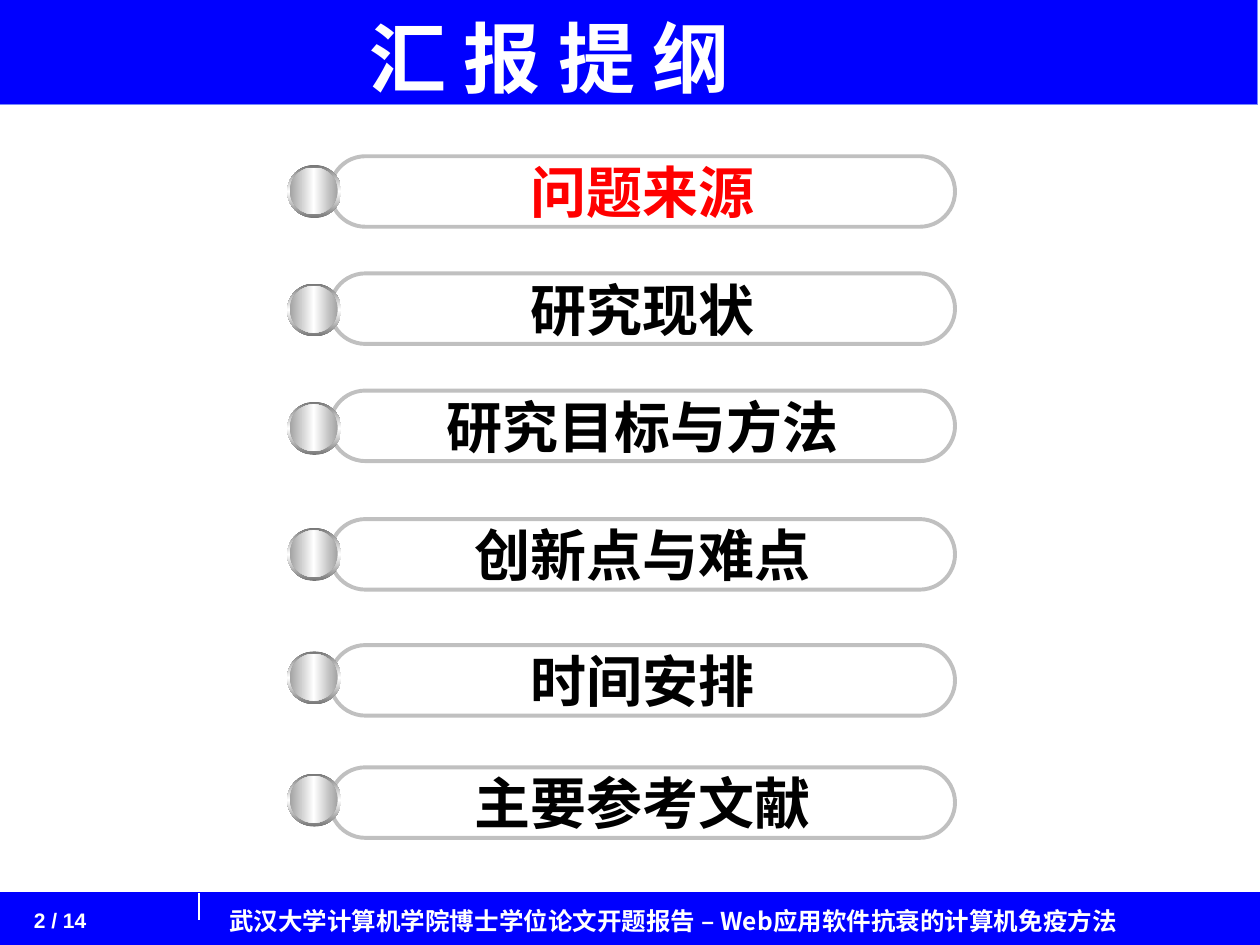
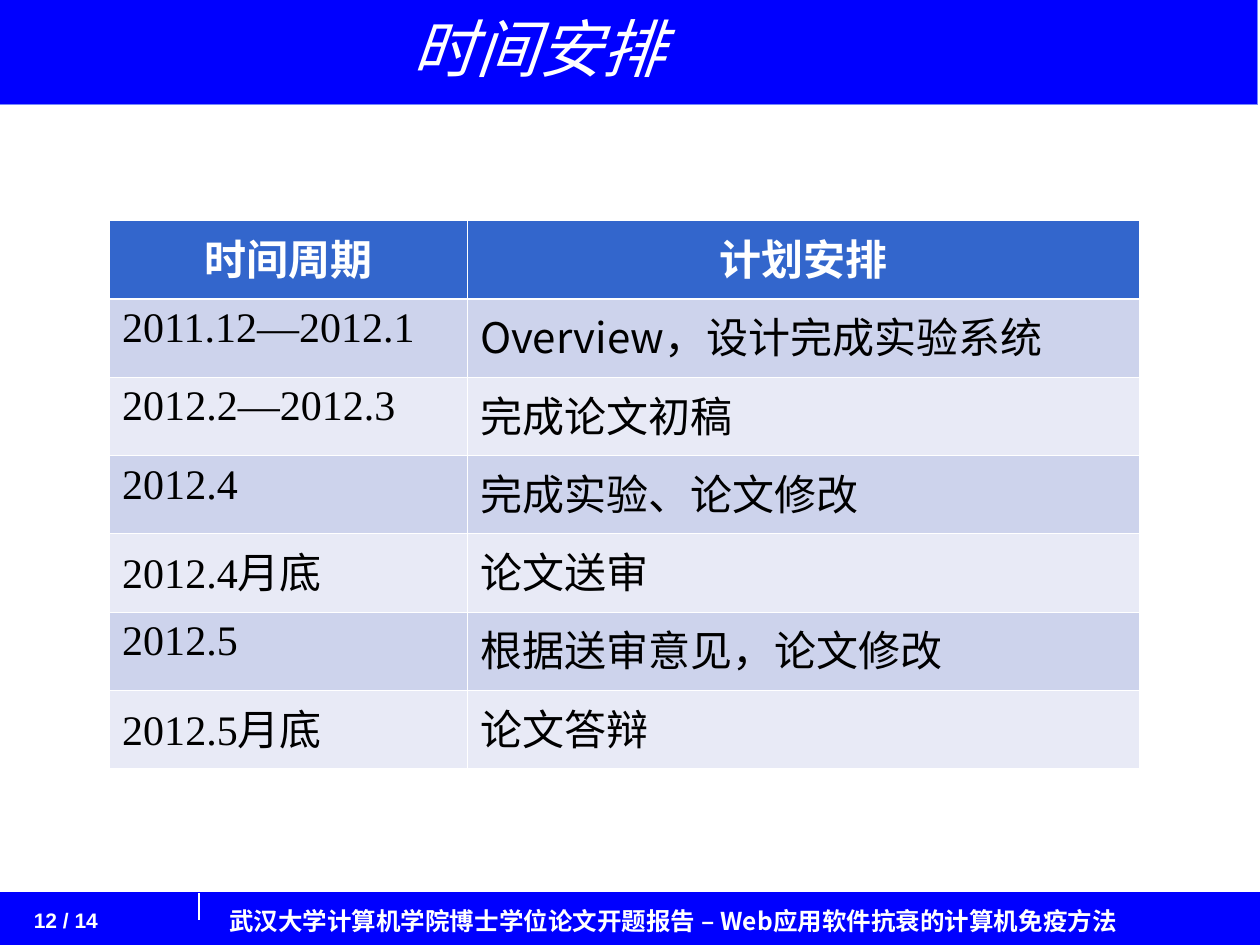
from copy import deepcopy

from lxml import etree
from pptx import Presentation
from pptx.dml.color import RGBColor
from pptx.enum.shapes import MSO_CONNECTOR, MSO_SHAPE
from pptx.enum.text import MSO_ANCHOR, MSO_AUTO_SIZE, PP_ALIGN
from pptx.oxml.ns import qn
from pptx.util import Inches, Pt

BLUE = RGBColor(0x00, 0x00, 0xFF)
BAND_EDGE = RGBColor(0x78, 0x89, 0xFB)
WHITE = RGBColor(0xFF, 0xFF, 0xFF)
BLACK = RGBColor(0x00, 0x00, 0x00)
RED = RGBColor(0xFF, 0x00, 0x00)
SILVER = RGBColor(0xC0, 0xC0, 0xC0)
RIM_GRAY = RGBColor(0x76, 0x76, 0x76)
KNOB_GRAY = RGBColor(0xA2, 0xA2, 0xA2)
HEADER_BLUE = RGBColor(0x33, 0x66, 0xCC)
ROW_TINTS = [RGBColor(0xE8, 0xEA, 0xF6), RGBColor(0xCD, 0xD3, 0xEC)]

SANS, CHINESE, SERIF = "Arial", "Noto Sans CJK SC", "Times New Roman"
RECTANGLE, PILL, OVAL = MSO_SHAPE.RECTANGLE, MSO_SHAPE.ROUNDED_RECTANGLE, MSO_SHAPE.OVAL
STRAIGHT = MSO_CONNECTOR.STRAIGHT
TOP, MIDDLE = MSO_ANCHOR.TOP, MSO_ANCHOR.MIDDLE
LEFT, CENTER = PP_ALIGN.LEFT, PP_ALIGN.CENTER
FIXED_SIZE = MSO_AUTO_SIZE.NONE

COLUMNS, ROWS = 100, 75
PAGE_COUNT = 14

presentation = Presentation()
presentation.slide_width, presentation.slide_height = Inches(10), Inches(7.5)
column = presentation.slide_width / COLUMNS
row = presentation.slide_height / ROWS


def grid(left, top, width, height):
    """Turn grid columns and rows into slide lengths."""
    return [round(left * column), round(top * row), round(width * column), round(height * row)]


def write(text_frame, text, color, alignment=LEFT, line_spacing=None, **font_values):
    """Fill the first paragraph with one run, Chinese letters in the Chinese font."""
    paragraph = text_frame.paragraphs[0]
    paragraph.alignment = alignment
    paragraph.line_spacing = line_spacing
    run = paragraph.add_run()
    run.text = text
    run.font.color.rgb = color
    for name, value in font_values.items():
        setattr(run.font, name, value)
    etree.SubElement(run.font._element, qn("a:ea"), typeface=CHINESE)


# Bands and footer text, moved from the first slide to the shared layout
layout = presentation.slide_layouts[5]
for placeholder in list(layout.placeholders)[1:]:
    placeholder.element.getparent().remove(placeholder.element)
layout_tree = layout.placeholders[0].element.getparent()

outline_slide = presentation.slides.add_slide(layout)
shared_shapes = []
for position, edge in [((0, 70.8, 100, 4.2), BLUE), ((-0.2, -0.2, 100, 8.5), BAND_EDGE)]:
    band = outline_slide.shapes.add_shape(RECTANGLE, *grid(*position))
    band.shadow.inherit = False
    band.fill.solid()
    band.fill.fore_color.rgb = BLUE
    band.line.color.rgb = edge
    band.line.width = Pt(0.25)
    shared_shapes.append(band)

footer = outline_slide.shapes.add_textbox(*grid(17.2, 71.4, 81.1, 3.4))
footer.text_frame.word_wrap = True
write(footer.text_frame, "武汉大学计算机学院博士学位论文开题报告 – Web应用软件抗衰的计算机免疫方法",
      WHITE, name=CHINESE, size=Pt(14), bold=True)
divider = outline_slide.shapes.add_connector(STRAIGHT, *grid(15.8, 70.9, 15.8, 73))
divider.line.color.rgb = WHITE
divider.line.width = Pt(0.75)
etree.SubElement(divider.element.spPr, qn("a:effectLst"))
shared_shapes += [footer, divider]
for shape in shared_shapes:
    layout_tree.append(shape.element)

# Titles and page numbers
schedule_slide = presentation.slides.add_slide(layout)
pages = [
    (outline_slide, 2, "汇 报 提 纲", (28.3, 1.7, 56.7, 5.5), TOP, 0,
     {"size": Pt(44), "bold": True}),
    (schedule_slide, 12, "时间安排", (31.7, 0, 34.2, 8.3), MIDDLE, Inches(0.05),
     {"size": Pt(36), "italic": True}),
]
for slide, number, heading, position, anchor, margin, font_values in pages:
    title = slide.shapes.title
    title.left, title.top, title.width, title.height = grid(*position)
    frame_values = {"auto_size": FIXED_SIZE, "word_wrap": True, "vertical_anchor": anchor,
                    "margin_top": margin, "margin_bottom": margin}
    for name, value in frame_values.items():
        setattr(title.text_frame, name, value)
    write(title.text_frame, heading, WHITE, line_spacing=0.9, name=CHINESE, **font_values)

    page_box = slide.shapes.add_textbox(*grid(1.7, 71.5, 11, 3.5))
    page_box.text_frame.word_wrap = True
    write(page_box.text_frame, f"{number} / {PAGE_COUNT}", WHITE,
          name=SANS, size=Pt(12), bold=True)

# Outline: pill top, knob top, text, colour
topics = [
    (12.4, 13.1, "问题来源", RED),
    (21.7, 22.5, "研究现状", BLACK),
    (31, 31.9, "研究目标与方法", BLACK),
    (41.2, 41.9, "创新点与难点", BLACK),
    (51.2, 51.7, "时间安排", BLACK),
    (60.9, 61.4, "主要参考文献", BLACK),
]
for pill_top, knob_top, topic, color in topics:
    pill = outline_slide.shapes.add_shape(PILL, *grid(26.2, pill_top, 49.6, 5.6))
    pill.adjustments[0] = 0.5
    pill.shadow.inherit = False
    pill.fill.background()
    pill.line.color.rgb = SILVER
    pill.line.width = Pt(2.25)
    pill.text_frame.word_wrap = False
    pill.text_frame.vertical_anchor = MIDDLE
    write(pill.text_frame, topic, color, CENTER, name=SANS, size=Pt(32), bold=True)

    knob = outline_slide.shapes.add_group_shape()
    discs = [((22.8, knob_top, 4.3, 4.2), RIM_GRAY, 90),
             ((23, knob_top + 0.2, 3.8, 3.7), KNOB_GRAY, 0)]
    for position, gray, angle in discs:
        disc = knob.shapes.add_shape(OVAL, *grid(*position))
        disc.shadow.inherit = False
        disc.line.fill.background()
        disc.fill.gradient()
        disc.fill.gradient_angle = angle
        for stop, shade, share in zip(disc.fill.gradient_stops, (gray, WHITE), (0, 0.5)):
            stop.color.rgb = shade
            stop.position = share
        stop_list = disc.element.find(".//" + qn("a:gsLst"))
        last_stop = deepcopy(stop_list[0])
        last_stop.set("pos", "100000")
        stop_list.append(last_stop)

# Schedule table
schedule = [
    ("时间周期", "计划安排"),
    ("2011.12—2012.1", "Overview，设计完成实验系统"),
    ("2012.2—2012.3", "完成论文初稿"),
    ("2012.4", "完成实验、论文修改"),
    ("2012.4月底", "论文送审"),
    ("2012.5", "根据送审意见，论文修改"),
    ("2012.5月底", "论文答辩"),
]
table = schedule_slide.shapes.add_table(len(schedule), 2, *grid(8.7, 17.5, 81.7, 43.5)).table
for table_column, width in zip(table.columns, (28.4, 53.3)):
    table_column.width = round(width * column)

for row_index, entries in enumerate(schedule):
    is_header = row_index == 0
    for column_index, entry in enumerate(entries):
        cell = table.cell(row_index, column_index)
        cell.fill.solid()
        cell.fill.fore_color.rgb = HEADER_BLUE if is_header else ROW_TINTS[row_index % 2]
        is_period = column_index == 0 and not is_header
        write(cell.text_frame, entry, WHITE if is_header else BLACK,
              CENTER if is_header else LEFT,
              name=SERIF if is_period else CHINESE, size=Pt(24), bold=is_header)

        thick_side = {0: "lnB", 1: "lnT"}.get(row_index)
        cell_properties = cell._tc.get_or_add_tcPr()
        for order, side in enumerate(("lnL", "lnR", "lnT", "lnB")):
            line_width = Pt(1.47) if side == thick_side else Pt(0.45)
            border = etree.Element(qn("a:" + side), w=str(line_width))
            border_fill = etree.SubElement(border, qn("a:solidFill"))
            etree.SubElement(border_fill, qn("a:srgbClr"), val=str(WHITE))
            cell_properties.insert(order, border)

presentation.save("out.pptx")
